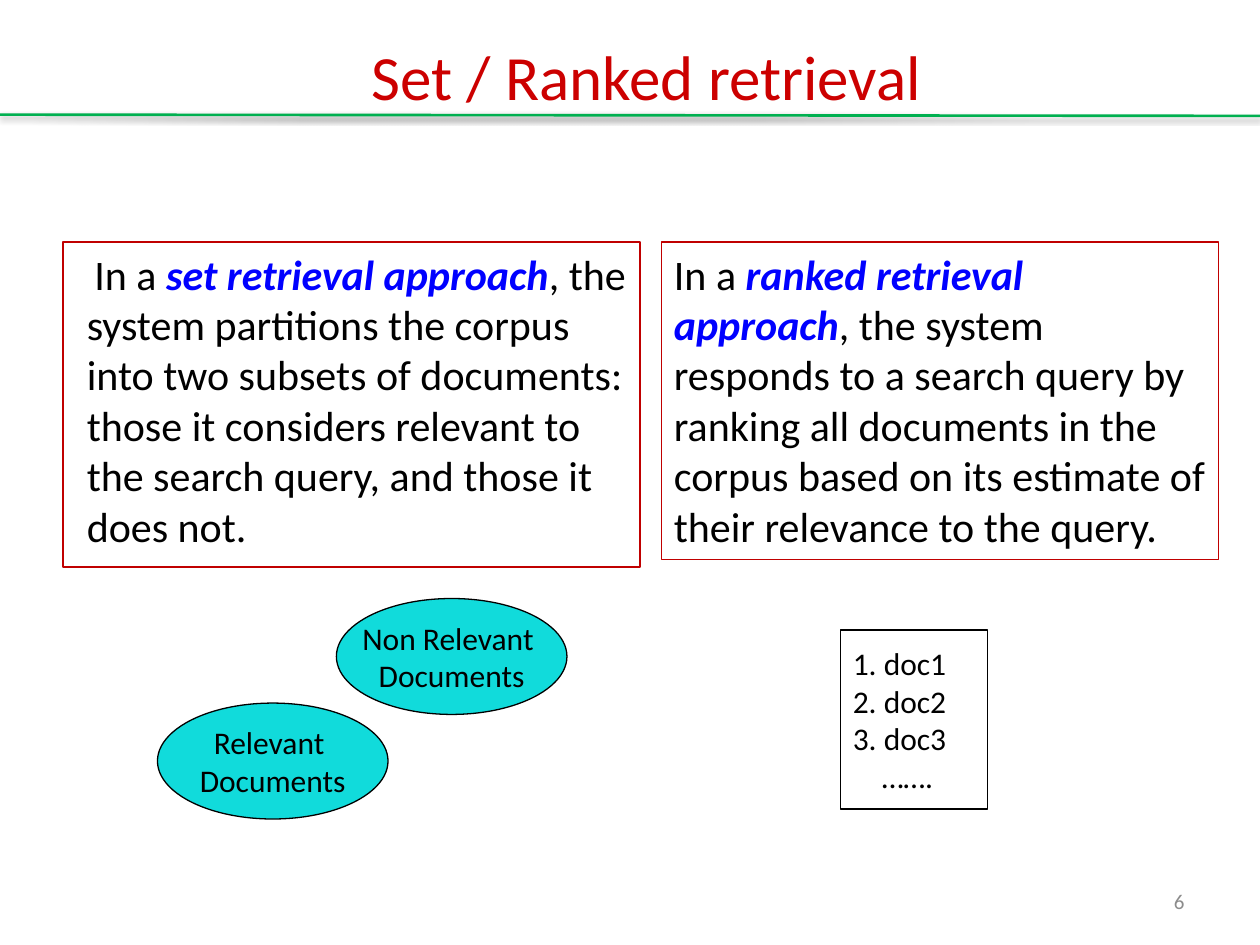
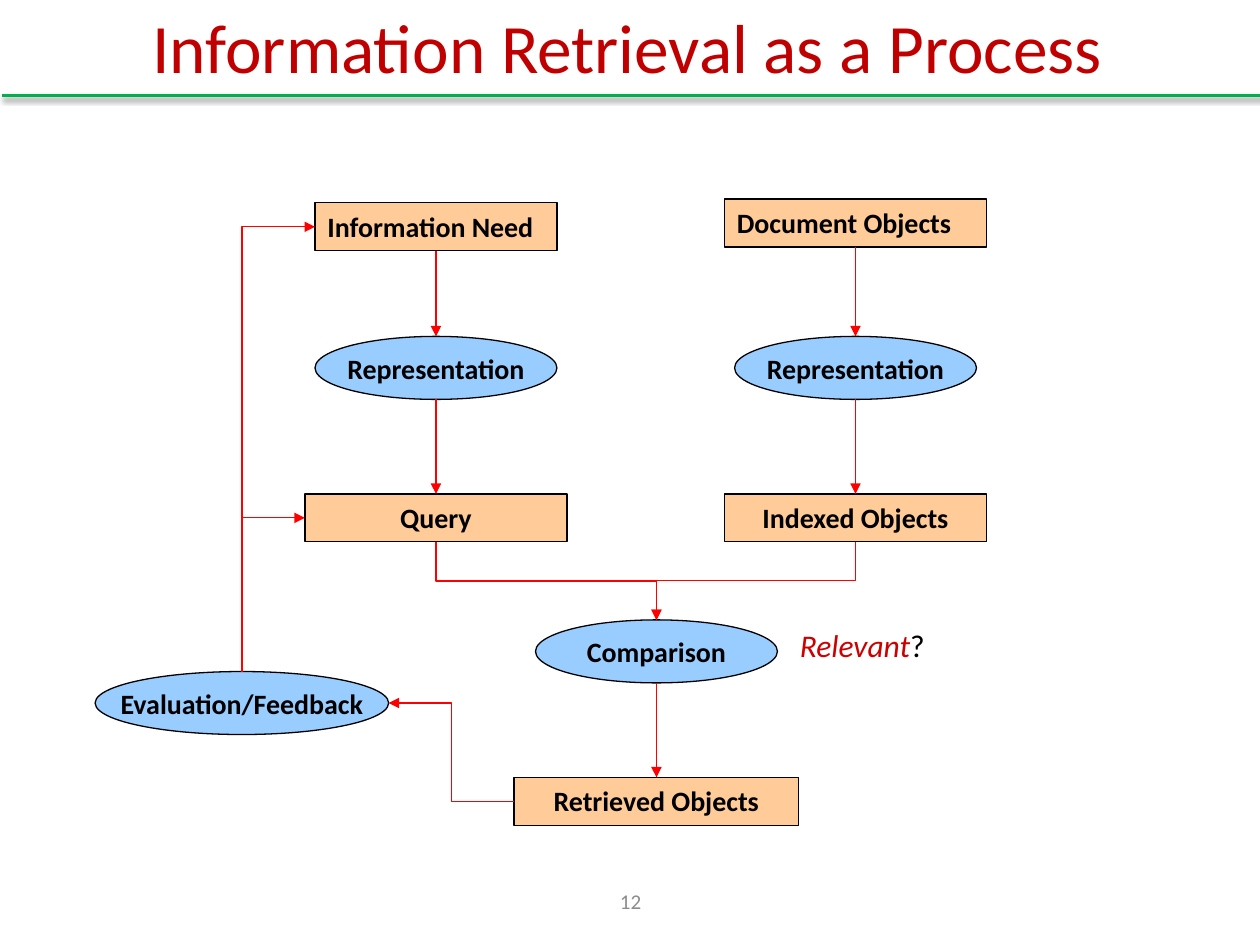
from lxml import etree
from pptx import Presentation
from pptx.dml.color import RGBColor
from pptx.enum.shapes import MSO_CONNECTOR, MSO_SHAPE
from pptx.enum.text import MSO_ANCHOR, PP_ALIGN
from pptx.oxml.ns import qn
from pptx.util import Inches, Pt

RECT, OVAL = MSO_SHAPE.RECTANGLE, MSO_SHAPE.OVAL
STRAIGHT, ELBOW = MSO_CONNECTOR.STRAIGHT, MSO_CONNECTOR.ELBOW
LEFT, CENTER, RIGHT = PP_ALIGN.LEFT, PP_ALIGN.CENTER, PP_ALIGN.RIGHT
TOP, MIDDLE = MSO_ANCHOR.TOP, MSO_ANCHOR.MIDDLE

FONT = "Calibri"
BLACK, WHITE, GRAY = "000000", "FFFFFF", "8C8C8C"
RED, DARK_RED, ARROW_RED = "CC0000", "C00000", "FF0000"
BLUE, GREEN = "0000FF", "00B050"
TEAL, PEACH, SKY = "11DBDB", "FFCC99", "99CCFF"

SET_SLIDE = {
    "title": ("Set / Ranked retrieval", (2.17, 0.25, 5.92, 0.7), 36, RED),
    "number": ("6", (7.17, 6.95, 2.33, 0.4), RIGHT),
    "rule": ((0, 0.91), (10, 0.92)),
}
PROCESS_SLIDE = {
    "title": ("Information Retrieval as a Process", (0.73, 0.03, 8.5, 0.67), 39.6, DARK_RED),
    "number": ("12", (3.42, 6.95, 3.17, 0.4), CENTER),
    "rule": ((0.02, 0.76), (10.02, 0.76)),
}

APPROACHES = [
    ((0.5, 1.92, 4.58, 2.58), 0.09, 0.06, "set retrieval approach",
     ", the system partitions the corpus into two subsets of documents: those it "
     "considers relevant to the search query, and those it does not."),
    ((5.25, 1.92, 4.42, 2.52), 0, 0, "ranked retrieval approach",
     ", the system responds to a search query by ranking all documents in the "
     "corpus based on its estimate of their relevance to the query."),
]
SUBSETS = [
    ((1.25, 5.58, 1.83, 0.92), ["Relevant ", "Documents"]),
    ((2.67, 4.75, 1.83, 0.92), ["Non Relevant ", "Documents"]),
]
RANKING_AT = (6.67, 5, 1.17, 1.42)
RANKING = [("1. doc1", 0), ("2. doc2", 0), ("3. doc3", 0), ("…….", 0.23)]

OBJECT_HEIGHT, STEP_HEIGHT = 0.38, 0.5
OBJECTS = {
    "need": ("Information Need", 3.46, 1.61, 1.92, LEFT),
    "documents": ("Document Objects", 6.79, 1.58, 2.08, LEFT),
    "query": ("Query", 3.46, 3.92, 2.08, CENTER),
    "indexed": ("Indexed Objects", 6.79, 3.92, 2.08, CENTER),
    "retrieved": ("Retrieved Objects", 5.21, 6.17, 2.26, CENTER),
}
STEPS = {
    "document step": ("Representation", 6.79, 2.67, 1.92),
    "query step": ("Representation", 3.46, 2.67, 1.92),
    "comparison": ("Comparison", 5.21, 4.92, 1.92),
    "feedback": ("Evaluation/Feedback", 1.92, 5.33, 2.33),
}
DOWN_ARROWS = [
    ("need", "query step"),
    ("query step", "query"),
    ("documents", "document step"),
    ("document step", "indexed"),
    ("comparison", "retrieved"),
]
MERGING = ["query", "indexed"]
REFINED = ["query", "need"]
RELEVANT_AT = (6.25, 4.92, 1.51, 0.5)


def color(value):
    return RGBColor.from_string(value)


def span(text, size, tint=BLACK, bold=False, italic=False):
    return text, size, tint, bold, italic


def write(box, lines, align=LEFT, anchor=TOP, wrap=True):
    frame = box.text_frame
    frame.word_wrap = wrap
    frame.vertical_anchor = anchor
    for index, (spans, margin, indent) in enumerate(lines):
        para = frame.paragraphs[0] if index == 0 else frame.add_paragraph()
        para.alignment = align
        if margin or indent:
            properties = para._p.get_or_add_pPr()
            properties.set("marL", str(Inches(margin)))
            properties.set("indent", str(Inches(indent)))
        for text, size, tint, bold, italic in spans:
            run = para.add_run()
            run.text = text
            run.font.name = FONT
            run.font.size = Pt(size)
            run.font.bold = bold
            run.font.italic = italic
            run.font.color.rgb = color(tint)


def add_text(page, at, spans, align=LEFT, anchor=TOP):
    box = page.shapes.add_textbox(*map(Inches, at))
    write(box, [(spans, 0, 0)], align, anchor)


def add_box(page, kind, at, fill=None, line=BLACK):
    box = page.shapes.add_shape(kind, *map(Inches, at))
    box.shadow.inherit = False
    if fill:
        box.fill.solid()
        box.fill.fore_color.rgb = color(fill)
    else:
        box.fill.background()
    box.line.color.rgb = color(line)
    box.line.width = Pt(0.75)
    return box


def add_line(page, kind, begin, end, tint, width):
    line = page.shapes.add_connector(kind, *map(Inches, begin + end))
    line.line.color.rgb = color(tint)
    line.line.width = Pt(width)
    effects = etree.SubElement(line._element.spPr, qn("a:effectLst"))
    return line, effects


def add_arrow(page, kind, begin, end):
    arrow, _ = add_line(page, kind, begin, end, ARROW_RED, 0.75)
    etree.SubElement(arrow.line._get_or_add_ln(), qn("a:tailEnd"), type="triangle")
    return arrow


def add_turned_elbow(page, begin, end, rotation, flip=False, preset="bentConnector3"):
    width, height = abs(end[1] - begin[1]), abs(end[0] - begin[0])
    left = (begin[0] + end[0] - width) / 2
    top = (begin[1] + end[1] - height) / 2
    arrow = add_arrow(page, ELBOW, (left, top), (left + width, top + height))
    properties = arrow._element.spPr
    frame = properties.find(qn("a:xfrm"))
    frame.set("rot", str(rotation * 60000))
    if flip:
        frame.set("flipV", "1")
    properties.find(qn("a:prstGeom")).set("prst", preset)


def add_page(deck, shared):
    page = deck.slides.add_slide(deck.slide_layouts[6])
    number, number_at, number_align = shared["number"]
    add_text(page, number_at, [span(number, 12, GRAY)], number_align, MIDDLE)
    title, title_at, size, tint = shared["title"]
    add_text(page, title_at, [span(title, size, tint)], CENTER, MIDDLE)
    _, effects = add_line(page, STRAIGHT, *shared["rule"], GREEN, 1.5)
    shadow = etree.SubElement(effects, qn("a:outerShdw"), blurRad=str(Pt(3.1)),
                              dist=str(Pt(1.6)), dir="5400000", rotWithShape="0")
    shade = etree.SubElement(shadow, qn("a:srgbClr"), val=BLACK)
    etree.SubElement(shade, qn("a:alpha"), val="38000")
    return page


def build_set_slide(deck):
    page = add_page(deck, SET_SLIDE)
    for at, margin, indent, term, rest in APPROACHES:
        box = add_box(page, RECT, at, line=DARK_RED)
        spans = [span("In a ", 24), span(term, 24, BLUE, True, True), span(rest, 24)]
        write(box, [(spans, margin, indent)])
    ranking = add_box(page, RECT, RANKING_AT, WHITE)
    write(ranking, [([span(text, 18)], margin, 0) for text, margin in RANKING], anchor=MIDDLE)
    for at, words in SUBSETS:
        oval = add_box(page, OVAL, at, TEAL)
        write(oval, [([span(word, 18)], 0, 0) for word in words], CENTER, MIDDLE, False)


def build_process_slide(deck):
    page = add_page(deck, PROCESS_SLIDE)
    boxes, sides = {}, {}

    def add_node(name, kind, text, center, top, width, height, fill):
        boxes[name] = add_box(page, kind, (center - width / 2, top, width, height), fill)
        sides[name] = {
            "top": (center, top),
            "bottom": (center, top + height),
            "left": (center - width / 2, top + height / 2),
            "right": (center + width / 2, top + height / 2),
        }
        return [([span(text, 16, bold=True)], 0, 0)]

    for name, (text, center, top, width, align) in OBJECTS.items():
        lines = add_node(name, RECT, text, center, top, width, OBJECT_HEIGHT, PEACH)
        write(boxes[name], lines, align)
    for name, (text, center, top, width) in STEPS.items():
        lines = add_node(name, OVAL, text, center, top, width, STEP_HEIGHT, SKY)
        write(boxes[name], lines, CENTER, MIDDLE, False)

    for source, target in DOWN_ARROWS:
        arrow = add_arrow(page, STRAIGHT, sides[source]["bottom"], sides[target]["top"])
        if source in OBJECTS:
            arrow.begin_connect(boxes[source], 2)
        if target in OBJECTS:
            arrow.end_connect(boxes[target], 0)
    for source in MERGING:
        begin, end = sides[source]["bottom"], sides["comparison"]["top"]
        add_turned_elbow(page, begin, end, 90, flip=begin[0] < end[0])
    add_arrow(page, ELBOW, sides["retrieved"]["left"], sides["feedback"]["right"])
    for target in REFINED:
        add_turned_elbow(page, sides["feedback"]["top"], sides[target]["left"], 270,
                         preset="bentConnector2")
    add_text(page, RELEVANT_AT, [span("Relevant", 18, RED, italic=True), span("?", 18)])


def main():
    deck = Presentation()
    deck.slide_width, deck.slide_height = Inches(10), Inches(7.5)
    build_set_slide(deck)
    build_process_slide(deck)
    deck.save("out.pptx")


if __name__ == "__main__":
    main()
